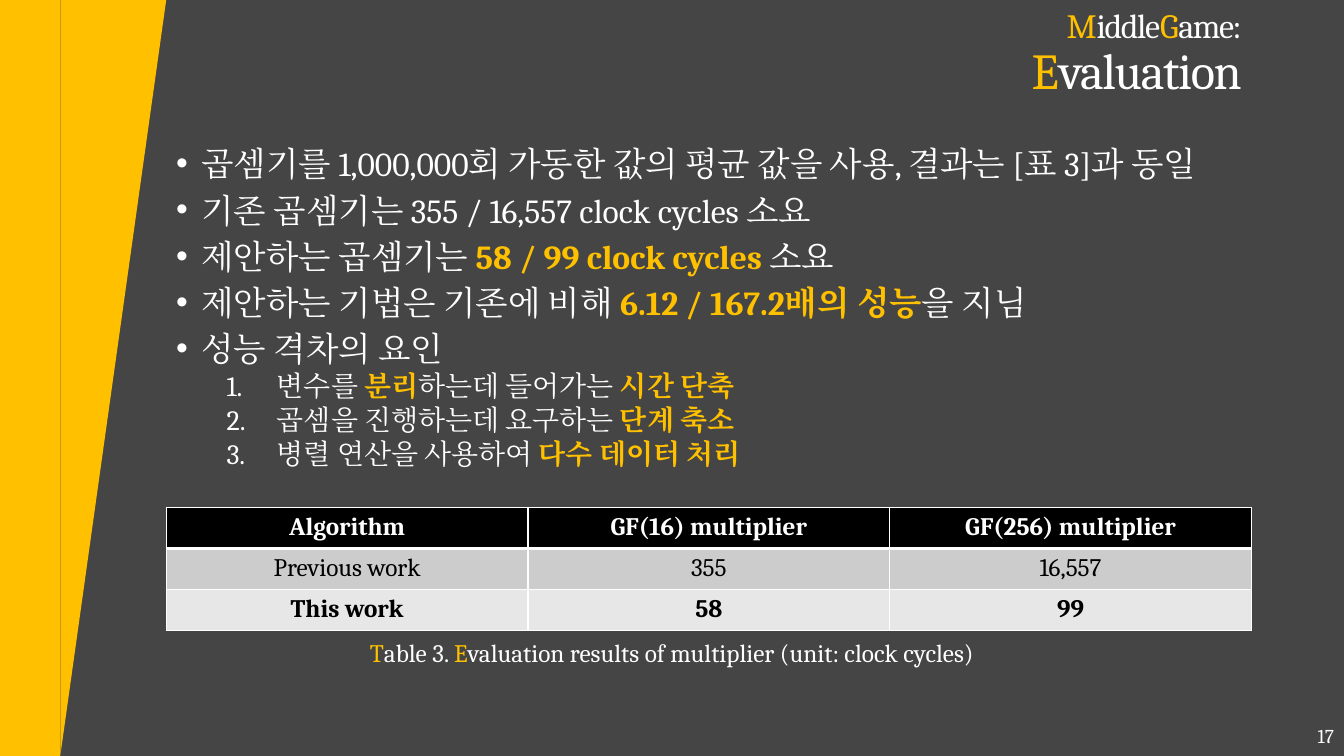
from lxml.etree import SubElement
from pptx import Presentation
from pptx.dml.color import RGBColor
from pptx.enum.shapes import MSO_SHAPE
from pptx.enum.text import MSO_ANCHOR, PP_ALIGN
from pptx.oxml.ns import qn
from pptx.util import Cm, Pt

TITLE = [("*M*iddle*G*ame:", 24.3), ("*E*valuation", 36)]
POINTS = [
    "곱셈기를 1,000,000회 가동한 값의 평균 값을 사용, 결과는 [표 3]과 동일",
    "기존 곱셈기는 355 / 16,557 clock cycles 소요",
    "제안하는 곱셈기는 *58 / 99 clock cycles *소요",
    "제안하는 기법은 기존에 비해 *6.12 / 167.2배의 성능*을 지님",
    "성능 격차의 요인",
]
CAUSES = [
    "변수를 *분리*하는데 들어가는 *시간 단축*",
    "곱셈을 진행하는데 요구하는 *단계 축소*",
    "병렬 연산을 사용하여 *다수 데이터 처리*",
]
ROWS = [
    ("Algorithm", "GF(16) multiplier", "GF(256) multiplier"),
    ("Previous work", "355", "16,557"),
    ("This work", "58", "99"),
]
CAPTION = "*T*able 3. *E*valuation results of multiplier (unit: clock cycles)"
NUMBER = "17"

FONT = "Cambria"
GOLD = RGBColor(0xFF, 0xC0, 0x00)
GREY = RGBColor(0x45, 0x45, 0x45)
WHITE = RGBColor(0xFF, 0xFF, 0xFF)
BLACK = RGBColor(0, 0, 0)
STYLES = [
    (BLACK, WHITE, True),
    (RGBColor(0xCC, 0xCC, 0xCC), BLACK, False),
    (RGBColor(0xE7, 0xE7, 0xE7), BLACK, True),
]

WIDE, HIGH = 33.87, 19.05
BAND, LEFT, SPAN = 1.52, 4.19, 27.35
ROW = 1.03

deck = Presentation()
deck.slide_width, deck.slide_height = Cm(WIDE), Cm(HIGH)
slide = deck.slides.add_slide(deck.slide_layouts[6])
slide.background.fill.solid()
slide.background.fill.fore_color.rgb = GREY


def style(run, size, color, bold=False):
    font = run.font
    font.name, font.size, font.bold = FONT, Pt(size), bold
    font.color.rgb = color
    SubElement(font._element, qn("a:ea"), typeface=FONT)


def write(par, text, size, strong=False):
    for i, part in enumerate(text.split("*")):
        if part:
            run = par.add_run()
            run.text = part
            gold = i % 2 == 1
            style(run, size, GOLD if gold else WHITE, strong and gold)


def panel(kind, x, width):
    shape = slide.shapes.add_shape(kind, Cm(x), 0, Cm(width), Cm(HIGH))
    shape.shadow.inherit = False
    shape.fill.solid()
    shape.fill.fore_color.rgb = GOLD
    shape.line.fill.background()
    return shape


def box(x, y, width, height, align, anchor=MSO_ANCHOR.TOP):
    area = slide.shapes.add_textbox(Cm(x), Cm(y), Cm(width), Cm(height))
    frame = area.text_frame
    frame.word_wrap = True
    frame.vertical_anchor = anchor
    frame.paragraphs[0].alignment = align
    return frame


def border(cell, side, width):
    line = SubElement(cell._tc.get_or_add_tcPr(), qn("a:" + side), w=str(Pt(width)))
    fill = SubElement(line, qn("a:solidFill"))
    SubElement(fill, qn("a:srgbClr"), val=str(WHITE))


def items(frame, texts, size, gap, margin, hang, face, tag, **mark):
    for text in texts:
        par = frame.paragraphs[0]
        if par.runs:
            par = frame.add_paragraph()
        par.line_spacing, par.space_before = 0.8, Pt(gap)
        props = par._p.get_or_add_pPr()
        props.set("marL", str(Cm(margin)))
        props.set("indent", str(-Cm(hang)))
        if face:
            SubElement(props, qn("a:buFont"), typeface=face)
        SubElement(props, qn("a:" + tag), **mark)
        write(par, text, size, True)


panel(MSO_SHAPE.RECTANGLE, 0, BAND)
wedge = panel(MSO_SHAPE.RIGHT_TRIANGLE, BAND, LEFT - BAND)
wedge._element.spPr.find(qn("a:xfrm")).set("flipV", "1")

page = box(26.25, 18.03, 7.62, 1.02, PP_ALIGN.RIGHT, MSO_ANCHOR.MIDDLE)
write(page.paragraphs[0], NUMBER, 14)

grid = slide.shapes.add_table(
    len(ROWS), len(ROWS[0]), Cm(LEFT), Cm(12.79), Cm(SPAN), Cm(ROW * len(ROWS))
).table
for r, (texts, (fill, ink, bold)) in enumerate(zip(ROWS, STYLES)):
    grid.rows[r].height = Cm(ROW)
    for c, text in enumerate(texts):
        cell = grid.cell(r, c)
        cell.text_frame.text = text
        par = cell.text_frame.paragraphs[0]
        par.alignment = PP_ALIGN.CENTER
        style(par.runs[0], 18, ink, bold)
        for side in ("lnL", "lnR", "lnT", "lnB"):
            thick = (r, side) in ((0, "lnB"), (1, "lnT"))
            border(cell, side, 3 if thick else 1)
        cell.fill.solid()
        cell.fill.fore_color.rgb = fill

head = box(2.34, 0, 29.2, 2.78, PP_ALIGN.RIGHT, MSO_ANCHOR.MIDDLE).paragraphs[0]
head.line_spacing = 0.9
for i, (text, size) in enumerate(TITLE):
    if i:
        head.add_line_break()
    write(head, text, size)
for run in head.runs:
    run.font._element.set("spc", "-100")

body = box(LEFT, 3.68, SPAN, 13.49, PP_ALIGN.LEFT)
items(body, POINTS, 24, 10, 0.64, 0.64, "Arial", "buChar", char="•")
items(body, CAUSES, 20, 5, 2.54, 1.27, None, "buAutoNum", type="arabicPeriod")

note = box(7.65, 15.93, 18.57, 1.02, PP_ALIGN.CENTER)
write(note.paragraphs[0], CAPTION, 18)

deck.save("out.pptx")
